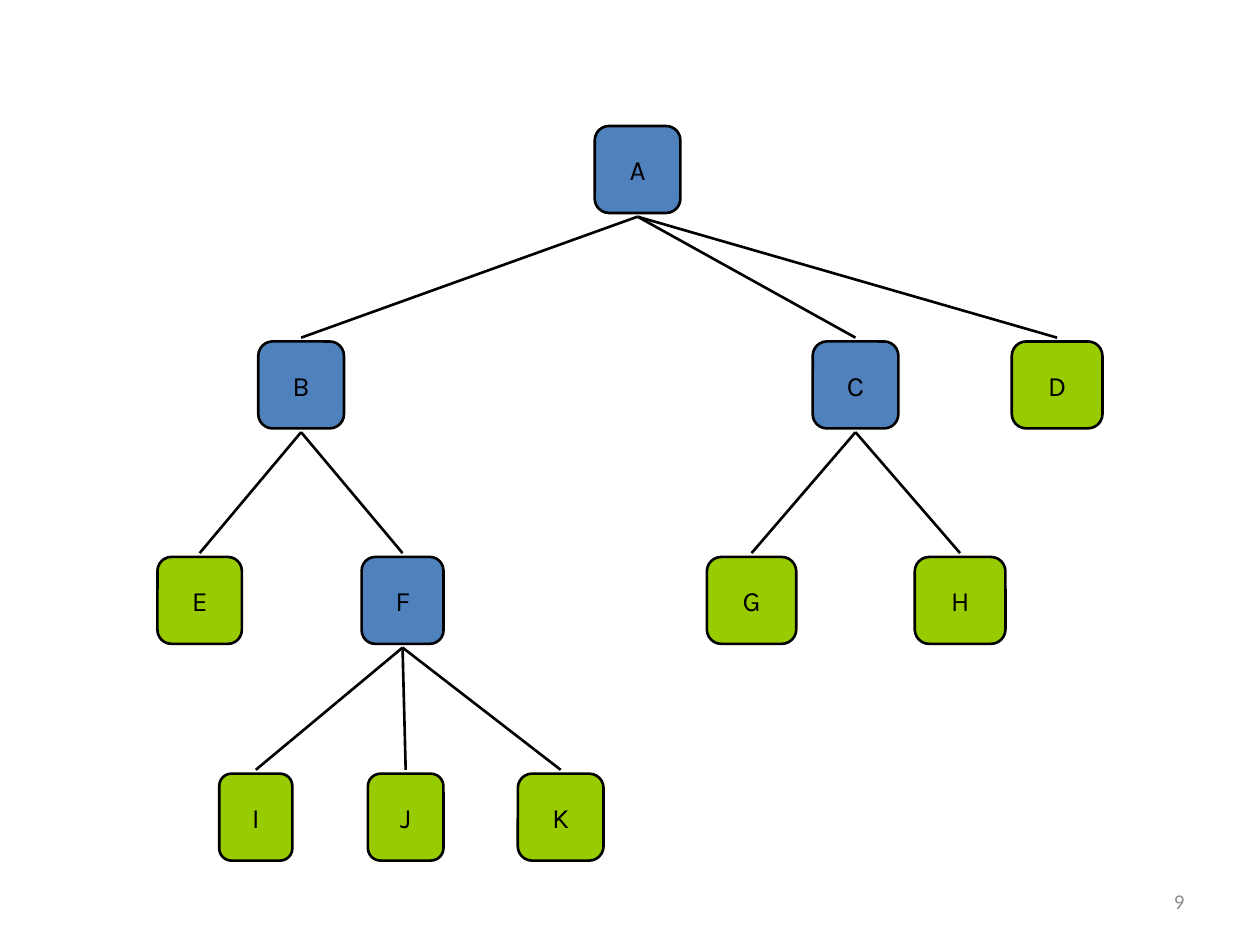
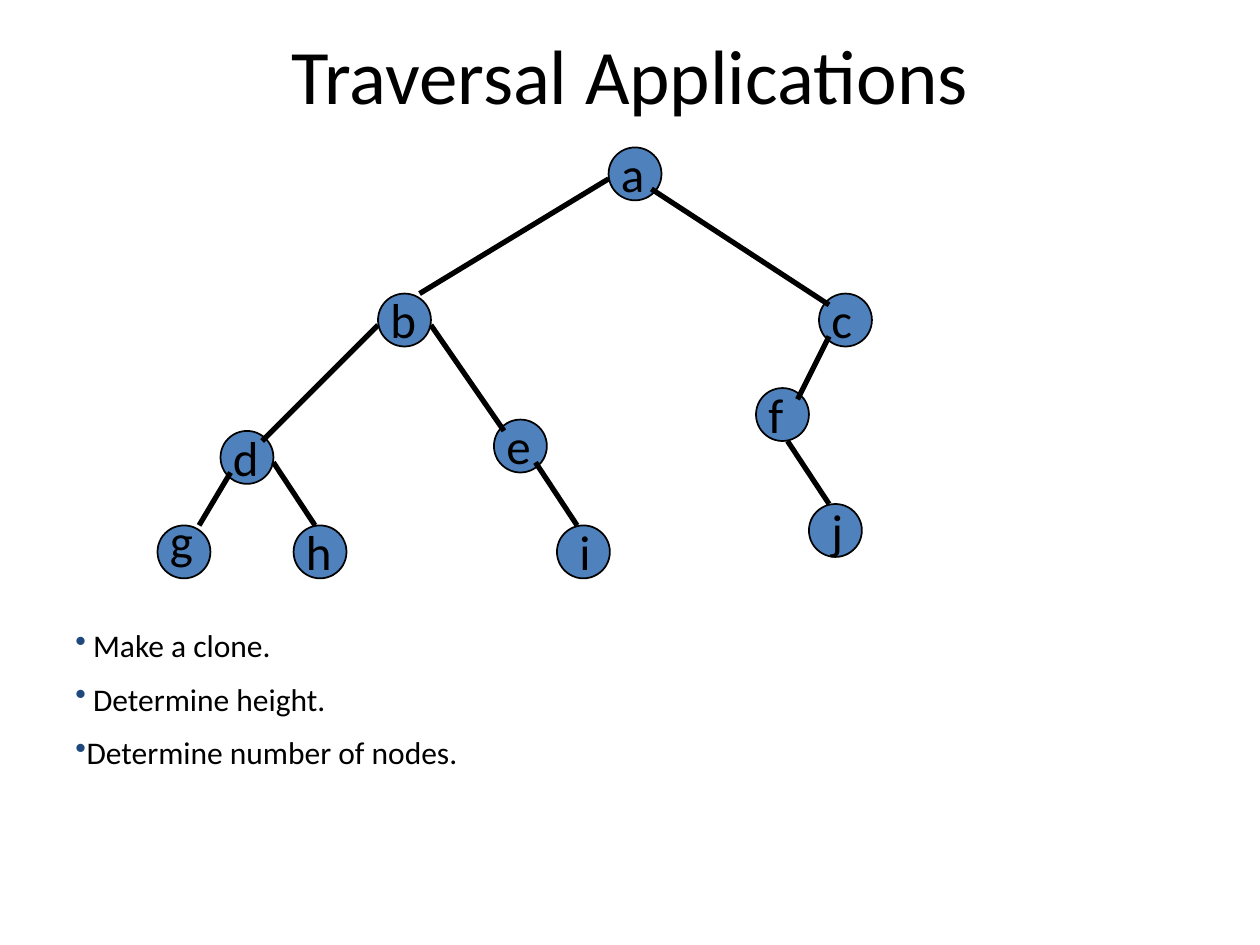
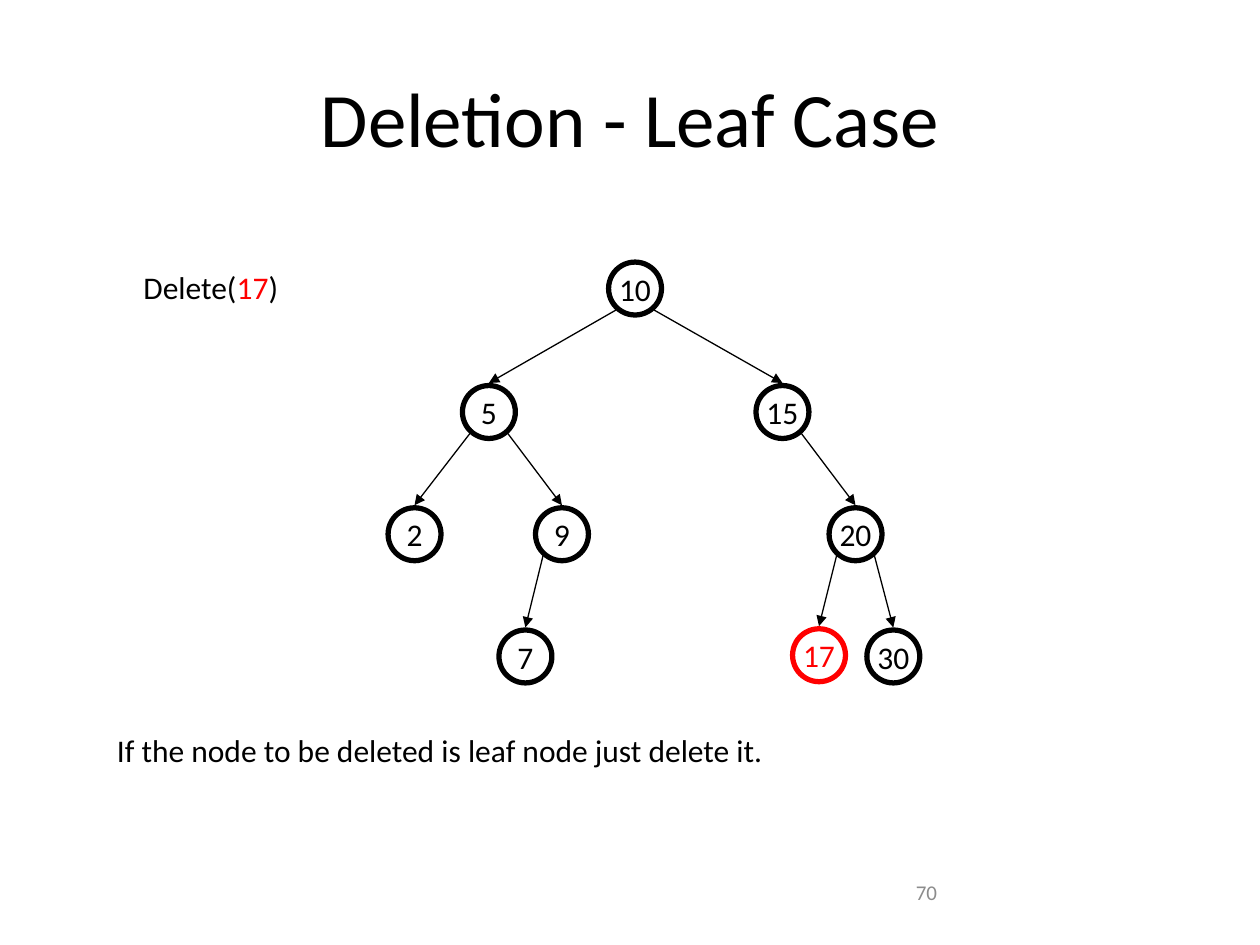
from lxml import etree
from pptx import Presentation
from pptx.dml.color import RGBColor
from pptx.enum.shapes import MSO_CONNECTOR, MSO_SHAPE
from pptx.enum.text import MSO_ANCHOR, PP_ALIGN
from pptx.oxml.ns import qn
from pptx.util import Inches, Pt

LEFT, CENTER, RIGHT = PP_ALIGN.LEFT, PP_ALIGN.CENTER, PP_ALIGN.RIGHT
TOP, MIDDLE = MSO_ANCHOR.TOP, MSO_ANCHOR.MIDDLE
ROUNDED, OVAL = MSO_SHAPE.ROUNDED_RECTANGLE, MSO_SHAPE.OVAL
STRAIGHT = MSO_CONNECTOR.STRAIGHT

COLORS = {"inner": "4F81BD", "leaf": "99CC00", "ink": "000000",
          "red": "FF0000", "number": "8C8C8C", "bullet": "1F497D"}
BODY_FONT, NODE_FONT = "Calibri", "Karla"
CIRCLE = 0.42

# Slide 1: general tree, name -> left, width; one list per level
TREE_LEVELS = [
    (1, {"A": (4.72, 0.68)}),
    (2.71, {"B": (2.05, 0.68), "C": (6.45, 0.68), "D": (8.03, 0.72)}),
    (4.42, {"E": (1.25, 0.67), "F": (2.87, 0.65), "G": (5.61, 0.71), "H": (7.26, 0.72)}),
    (6.14, {"I": (1.74, 0.58), "J": (2.92, 0.6), "K": (4.11, 0.68)}),
]
TREE_CHILDREN = {"A": "BCD", "B": "EF", "C": "GH", "F": "IJK"}
BOX_HEIGHT, BOX_GAP = 0.69, 0.03

# Slide 2: circle corners, edge ends and label offsets that differ
TRAVERSAL_NODES = {
    "a": (4.83, 1.17), "b": (3, 2.33), "c": (6.5, 2.33), "d": (1.75, 3.42),
    "e": (3.92, 3.33), "f": (6, 3.08), "g": (1.25, 4.17), "h": (2.33, 4.17),
    "i": (4.42, 4.17), "j": (6.42, 4),
}
TRAVERSAL_EDGES = [
    (4.83, 1.42, 3.33, 2.33), (5.17, 1.5, 6.58, 2.42), (3, 2.58, 2.08, 3.5),
    (3.42, 2.58, 4, 3.42), (6.58, 2.67, 6.33, 3.17), (6.25, 3.5, 6.58, 4),
    (1.83, 3.75, 1.58, 4.17), (2.17, 3.67, 2.5, 4.17), (4.25, 3.67, 4.58, 4.17),
]
LABEL_OFFSET = (0, -0.08)
LABEL_OFFSETS = {"g": (0, -0.17), "i": (0.08, -0.08), "j": (0.08, -0.08)}
APPLICATIONS = [("Make a clone.", 0.14), ("Determine height.", 0.14),
                ("Determine number of nodes.", 0)]

# Slide 3: search tree, key -> left, top; edges with the side they leave from
SEARCH_NODES = {
    "10": (4.83, 2.08), "5": (3.67, 3.06), "15": (6, 3.06), "2": (3.08, 4.03),
    "9": (4.25, 4.03), "20": (6.58, 4.03), "7": (3.96, 5), "17": (6.29, 4.99),
    "30": (6.88, 5),
}
SEARCH_EDGES = [("10", "5"), ("10", "15"), ("5", "2"), ("5", "9"), ("15", "20"),
                ("9", "7"), ("20", "17"), ("20", "30")]
DELETED = "17"


def rgb(name):
    return RGBColor.from_string(COLORS[name])


def style(p, size, color="ink", font=BODY_FONT, align=LEFT):
    p.alignment = align
    for r in p.runs:
        r.font.size = Pt(size)
        r.font.name = font
        r.font.color.rgb = rgb(color)


def add_text(s, box, text, size, color="ink", align=LEFT, anchor=TOP):
    tf = s.shapes.add_textbox(*map(Inches, box)).text_frame
    tf.word_wrap = True
    tf.vertical_anchor = anchor
    tf.text = text
    for p in tf.paragraphs:
        style(p, size, color, align=align)
    return tf


def add_title(s, text, box):
    add_text(s, box, text, 44, align=CENTER, anchor=MIDDLE)


def add_number(s, text, box, align):
    add_text(s, box, text, 12, "number", align, MIDDLE)


def add_node(s, kind, box, line_width, fill=None, line="ink",
             text="", size=18, font=BODY_FONT):
    sp = s.shapes.add_shape(kind, *map(Inches, box))
    sp.shadow.inherit = False
    if fill:
        sp.fill.solid()
        sp.fill.fore_color.rgb = rgb(fill)
    else:
        sp.fill.background()
    sp.line.color.rgb = rgb(line)
    sp.line.width = Pt(line_width)
    if text:
        tf = sp.text_frame
        tf.word_wrap = False
        tf.vertical_anchor = MIDDLE
        tf.text = text
        style(tf.paragraphs[0], size, line, font, CENTER)


def add_edge(s, ends, width, arrow=False):
    line = s.shapes.add_connector(STRAIGHT, *map(Inches, ends))
    line.line.color.rgb = rgb("ink")
    line.line.width = Pt(width)
    if arrow:
        etree.SubElement(line.line._get_or_add_ln(), qn("a:tailEnd"), type="triangle")
    etree.SubElement(line._element.spPr, qn("a:effectLst"))


def add_bullet(p, indent):
    pPr = p._p.get_or_add_pPr()
    pPr.set("marL", str(Inches(indent)))
    pPr.set("indent", str(-Inches(indent)))
    color = etree.SubElement(pPr, qn("a:buClr"))
    etree.SubElement(color, qn("a:srgbClr"), val=COLORS["bullet"])
    etree.SubElement(pPr, qn("a:buChar"), char="•")


def general_tree(s):
    add_number(s, "9", (7.17, 6.95, 2.33, 0.4), RIGHT)
    spots = {}
    for top, level in TREE_LEVELS:
        for name, (left, width) in level.items():
            spots[name] = (left + width / 2, top)
            fill = "inner" if name in TREE_CHILDREN else "leaf"
            add_node(s, ROUNDED, (left, top, width, BOX_HEIGHT), 1.5, fill,
                     text=name, size=16, font=NODE_FONT)
    for parent, children in TREE_CHILDREN.items():
        x, y = spots[parent]
        for child in children:
            cx, cy = spots[child]
            add_edge(s, (x, y + BOX_HEIGHT + BOX_GAP, cx, cy - BOX_GAP), 1.5)


def traversal(s):
    add_title(s, "Traversal Applications", (0.75, 0.17, 8.5, 0.83))
    for x, y in TRAVERSAL_NODES.values():
        add_node(s, OVAL, (x, y, CIRCLE, CIRCLE), 1, "inner")
    for ends in TRAVERSAL_EDGES:
        add_edge(s, ends, 3)
    for name, (x, y) in TRAVERSAL_NODES.items():
        dx, dy = LABEL_OFFSETS.get(name, LABEL_OFFSET)
        add_text(s, (x + dx, y + dy, 0.83, 0.57), name, 28)
    # Bulleted uses of traversal
    lines = "\n".join(text for text, _ in APPLICATIONS)
    tf = add_text(s, (0.5, 4.92, 7.08, 2.23), lines, 18)
    for i, (p, (_, indent)) in enumerate(zip(tf.paragraphs, APPLICATIONS)):
        if i:
            p.space_before = Pt(9)
        add_bullet(p, indent)


def deletion(s):
    add_number(s, "70", (7.17, 6.83, 2.08, 0.5), LEFT)
    add_title(s, "Deletion - Leaf Case", (0.5, 0.3, 9, 1.25))
    for key, (x, y) in SEARCH_NODES.items():
        add_node(s, OVAL, (x, y, CIRCLE, CIRCLE), 3,
                 line="red" if key == DELETED else "ink", text=key)
    for parent, child in SEARCH_EDGES:
        x, y = SEARCH_NODES[parent]
        cx, cy = SEARCH_NODES[child]
        side = -0.15 if cx < x else 0.15
        add_edge(s, (x + CIRCLE / 2 + side, y + 0.38, cx + CIRCLE / 2, cy - 0.02),
                 0.75, arrow=True)
    # Call with the deleted key in red
    p = add_text(s, (1.04, 2.08, 1.62, 0.5), "Delete(", 18).paragraphs[0]
    for text in (DELETED, ")"):
        p.add_run().text = text
    style(p, 18)
    p.runs[1].font.color.rgb = rgb("red")
    add_text(s, (0.83, 5.75, 8.25, 0.91),
             "If the node to be deleted is leaf node just delete it.", 18)


def main():
    prs = Presentation()
    prs.slide_width, prs.slide_height = Inches(10), Inches(7.5)
    for build in (general_tree, traversal, deletion):
        build(prs.slides.add_slide(prs.slide_layouts[6]))
    prs.save("out.pptx")


if __name__ == "__main__":
    main()
